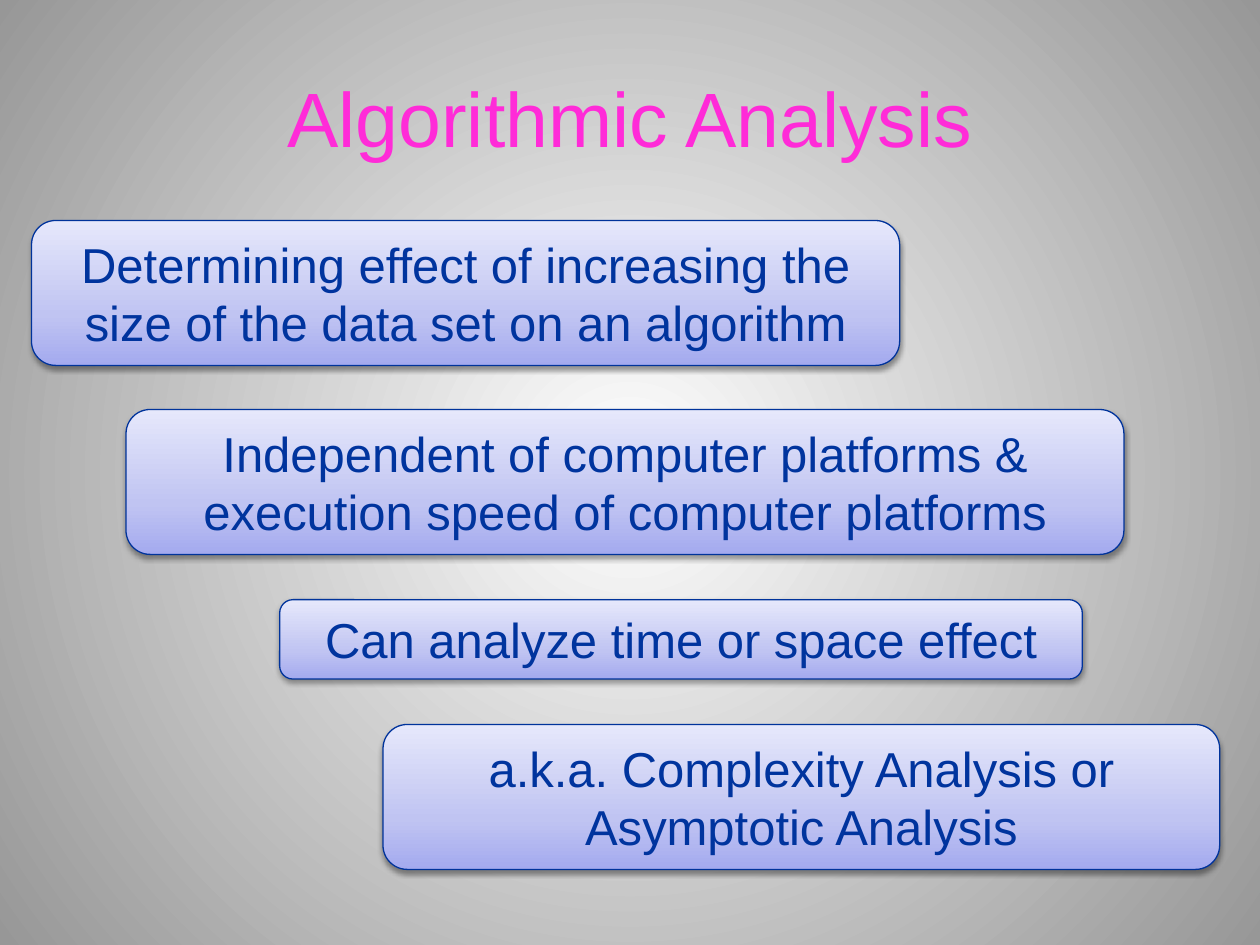
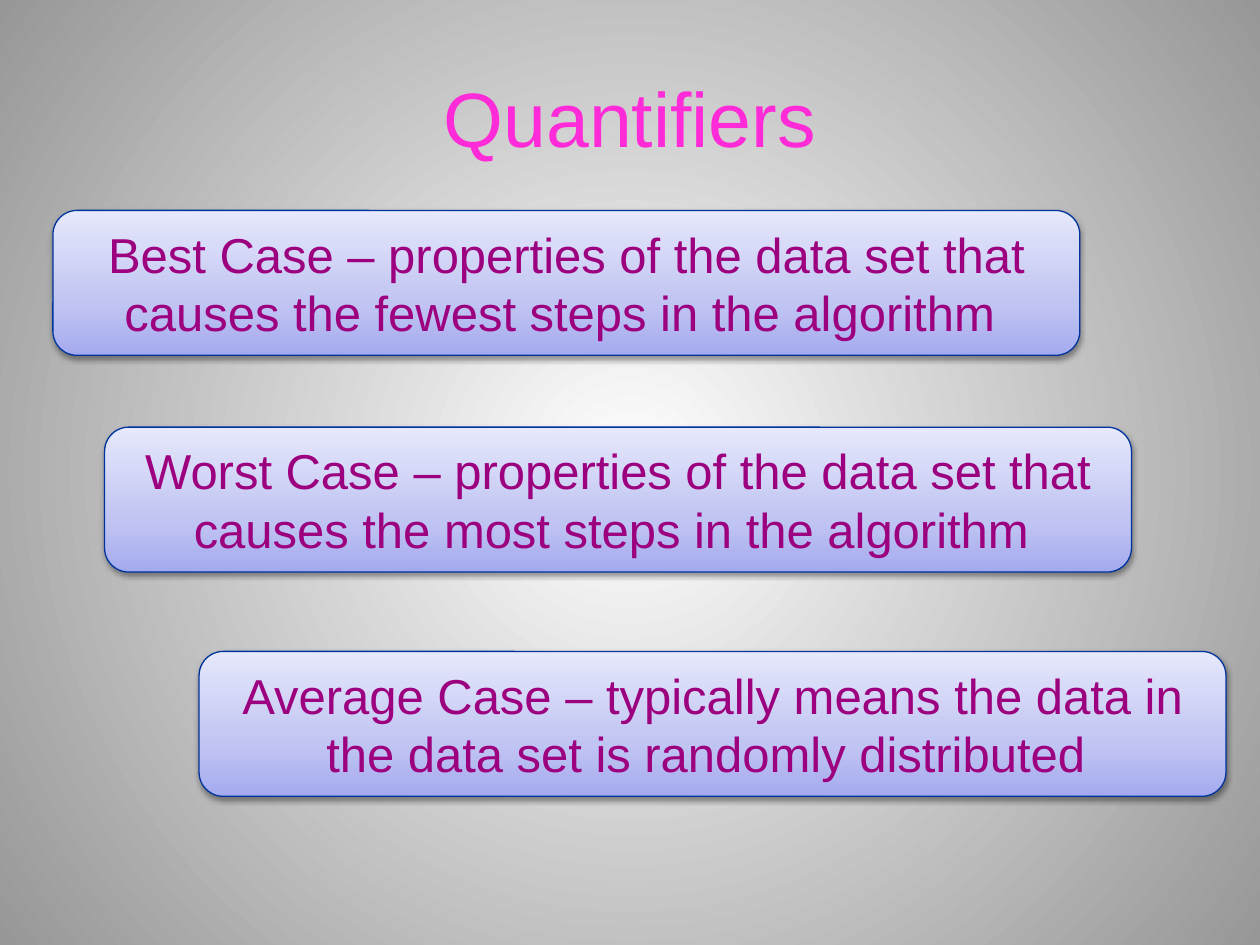
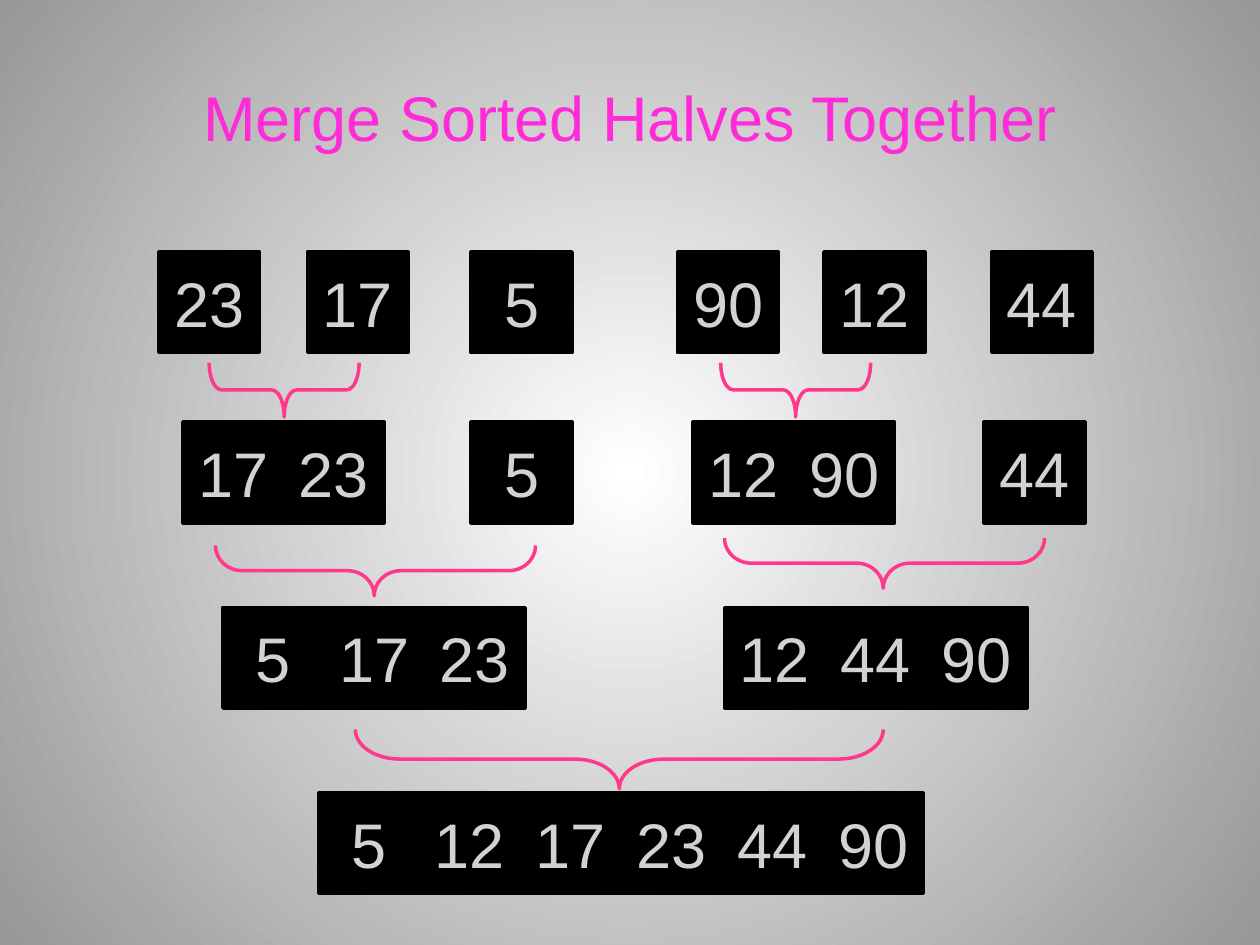
from dataclasses import dataclass
from typing import Any

from lxml.etree import SubElement
from pptx import Presentation
from pptx.dml.color import RGBColor
from pptx.enum.shapes import MSO_SHAPE as Preset
from pptx.enum.text import MSO_ANCHOR as Anchor, MSO_AUTO_SIZE as AutoSize, PP_ALIGN as Align
from pptx.oxml.ns import qn
from pptx.util import Inches, Pt

# Grid: 100 columns by 75 rows over the slide
SLIDE_WIDTH, SLIDE_HEIGHT = Inches(10), Inches(7.5)
COLUMN, ROW = SLIDE_WIDTH / 100, SLIDE_HEIGHT / 75
CELL_SIZE = 8

# Colours and font
PINK = RGBColor(0xFF, 0x2B, 0xD8)
BRACE_PINK = RGBColor(0xFF, 0x38, 0x8C)
NAVY = RGBColor(0x00, 0x34, 0x9E)
OUTLINE_NAVY = RGBColor(0x00, 0x33, 0x9B)
PURPLE = RGBColor(0x9C, 0x00, 0x7F)
BLACK = RGBColor(0x00, 0x00, 0x00)
LIGHT_GREY = RGBColor(0xD2, 0xD2, 0xD2)
BACKDROP_STOPS = ((0, RGBColor(0xFF, 0xFF, 0xFF)), (100, RGBColor(0x97, 0x97, 0x97)))
PANEL_STOPS = (
    (0, RGBColor(0xA4, 0xAA, 0xEF)),
    (35, RGBColor(0xC0, 0xC4, 0xF2)),
    (100, RGBColor(0xE6, 0xE8, 0xFB)),
)
FONT = "Arial"


@dataclass(frozen=True)
class Box:
    left: float
    top: float
    width: float
    height: float

    def lengths(self) -> tuple[int, int, int, int]:
        return (round(self.left * COLUMN), round(self.top * ROW),
                round(self.width * COLUMN), round(self.height * ROW))


@dataclass(frozen=True)
class Panel:
    text: str
    box: Box


@dataclass(frozen=True)
class NumberList:
    left: float
    values: tuple[int, ...]


@dataclass(frozen=True)
class Brace:
    box: Box
    curve: float
    tip: float = 0.5


TITLE_BOX = Box(5, 3, 90, 12.5)

ANALYSIS_PANELS = (
    Panel("Determining effect of increasing the size of the data set on an algorithm",
          Box(2.5, 17.5, 68.9, 11.5)),
    Panel("Independent of computer platforms & execution speed of computer platforms",
          Box(10, 32.5, 79.2, 11.5)),
    Panel("Can analyze time or space effect", Box(22.2, 47.6, 63.7, 6.3)),
    Panel("a.k.a. Complexity Analysis or Asymptotic Analysis", Box(30.4, 57.5, 66.4, 11.5)),
)
QUANTIFIER_PANELS = (
    Panel("Best Case – properties of the data set that causes the fewest steps in the algorithm ",
          Box(4.2, 16.7, 81.5, 11.5)),
    Panel("Worst Case – properties of the data set that causes the most steps in the algorithm ",
          Box(8.3, 33.9, 81.5, 11.5)),
    Panel("Average Case – typically means the data in the data set is randomly distributed ",
          Box(15.8, 51.7, 81.5, 11.5)),
)

# Merge levels: top row of each level and its sorted lists
MERGE_LEVELS = {
    20: (NumberList(12.6, (23,)), NumberList(24.4, (17,)), NumberList(37.4, (5,)),
         NumberList(53.8, (90,)), NumberList(65.4, (12,)), NumberList(78.7, (44,))),
    33.5: (NumberList(14.5, (17, 23)), NumberList(37.4, (5,)),
           NumberList(55, (12, 90)), NumberList(78.1, (44,))),
    48.2: (NumberList(17.7, (5, 17, 23)), NumberList(57.5, (12, 44, 90))),
    62.9: (NumberList(25.3, (5, 12, 17, 23, 44, 90)),),
}
MERGE_BRACES = (
    Brace(Box(16.6, 28.8, 11.9, 4.3), 0.23),
    Brace(Box(57.2, 28.8, 11.9, 4.3), 0.23),
    Brace(Box(17.1, 43.3, 25.4, 4), 0.53, 0.504),
    Brace(Box(57.5, 42.7, 25.4, 4), 0.53, 0.504),
    Brace(Box(28.2, 57.9, 41.9, 4.7), 0.75),
)


def set_format(target: Any, values: dict[str, Any]) -> None:
    for name, value in values.items():
        setattr(target, name, value)


def place(shape: Any, box: Box) -> None:
    set_format(shape, dict(zip(("left", "top", "width", "height"), box.lengths())))


def write_text(shape: Any, text: str, size: float, colour: RGBColor) -> Any:
    """Write one centred paragraph and return it."""
    shape.text_frame.vertical_anchor = Anchor.MIDDLE
    paragraph = shape.text_frame.paragraphs[0]
    paragraph.alignment = Align.CENTER
    run = paragraph.add_run()
    run.text = text
    set_format(run.font, {"name": FONT, "size": Pt(size)})
    run.font.color.rgb = colour
    return paragraph


def set_line(shape: Any, colour: RGBColor, width: float) -> None:
    shape.line.color.rgb = colour
    shape.line.width = Pt(width)


def fill_gradient(fill: Any, element: Any, stops: tuple, angle: int | None = None) -> None:
    """Fill with a linear gradient, or a circular one when there is no angle."""
    fill.gradient()
    gradient = next(element.iter(qn("a:gradFill")))
    for child in list(gradient):
        gradient.remove(child)
    stop_list = SubElement(gradient, qn("a:gsLst"))
    for position, colour in stops:
        stop = SubElement(stop_list, qn("a:gs"), pos=str(position * 1000))
        SubElement(stop, qn("a:srgbClr"), val=str(colour))
    if angle is None:
        circle = SubElement(gradient, qn("a:path"), path="circle")
        SubElement(circle, qn("a:fillToRect"), dict.fromkeys("ltrb", "50000"))
    else:
        SubElement(gradient, qn("a:lin"), ang=str(angle * 60000), scaled="0")


def add_drop_shadow(shape: Any) -> None:
    shape.shadow.inherit = False
    effects = shape.element.spPr.find(qn("a:effectLst"))
    shadow = SubElement(effects, qn("a:outerShdw"), blurRad="40000", dist="20000",
                        dir="5400000", rotWithShape="0")
    colour = SubElement(shadow, qn("a:srgbClr"), val=str(BLACK))
    SubElement(colour, qn("a:alpha"), val="38000")


def add_titled_slide(presentation: Any, title: str, size: float = 44) -> Any:
    slide = presentation.slides.add_slide(presentation.slide_layouts.get_by_name("Title Only"))
    place(slide.shapes.title, TITLE_BOX)
    write_text(slide.shapes.title, title, size, PINK)
    return slide


def add_panel(slide: Any, panel: Panel, colour: RGBColor) -> None:
    shape = slide.shapes.add_shape(Preset.ROUNDED_RECTANGLE, *panel.box.lengths())
    fill_gradient(shape.fill, shape.element, PANEL_STOPS, 270)
    set_line(shape, OUTLINE_NAVY, 0.75)
    add_drop_shadow(shape)
    set_format(shape.text_frame, {"word_wrap": True, "auto_size": AutoSize.SHAPE_TO_FIT_TEXT})
    write_text(shape, panel.text, 28, colour)


def add_number_list(slide: Any, numbers: NumberList, top: float) -> None:
    for index, value in enumerate(numbers.values):
        box = Box(numbers.left + index * CELL_SIZE, top, CELL_SIZE, CELL_SIZE)
        cell = slide.shapes.add_shape(Preset.RECTANGLE, *box.lengths())
        cell.shadow.inherit = False
        cell.fill.solid()
        cell.fill.fore_color.rgb = BLACK
        set_line(cell, BLACK, 2)
        cell.text_frame.word_wrap = False
        paragraph = write_text(cell, str(value), 36, LIGHT_GREY)
        # Space before, as half a line
        spacing = SubElement(paragraph._p.get_or_add_pPr(), qn("a:spcBef"))
        SubElement(spacing, qn("a:spcPct"), val="50000")


def add_brace(slide: Any, brace: Brace) -> None:
    """Draw a brace pointing down: a left brace turned about its centre."""
    box = brace.box
    shift = (box.width - box.height) / 2
    upright = Box(box.left + shift, box.top - shift, box.height, box.width)
    shape = slide.shapes.add_shape(Preset.LEFT_BRACE, *upright.lengths())
    shape.rotation = 270
    shape.element.spPr.find(qn("a:xfrm")).set("flipV", "1")
    shape.adjustments[0], shape.adjustments[1] = brace.curve, brace.tip
    shape.shadow.inherit = False
    shape.fill.background()
    set_line(shape, BRACE_PINK, 2)


def main() -> None:
    presentation = Presentation()
    set_format(presentation, {"slide_width": SLIDE_WIDTH, "slide_height": SLIDE_HEIGHT})
    master = presentation.slide_master
    fill_gradient(master.background.fill, master.element, BACKDROP_STOPS)

    # Text panels
    for title, panels, colour in (
        ("Algorithmic Analysis", ANALYSIS_PANELS, NAVY),
        ("Quantifiers", QUANTIFIER_PANELS, PURPLE),
    ):
        slide = add_titled_slide(presentation, title)
        for panel in panels:
            add_panel(slide, panel, colour)

    # Merge diagram
    slide = add_titled_slide(presentation, "Merge Sorted Halves Together", 36)
    for top, lists in MERGE_LEVELS.items():
        for numbers in lists:
            add_number_list(slide, numbers, top)
    for brace in MERGE_BRACES:
        add_brace(slide, brace)

    presentation.save("out.pptx")


if __name__ == "__main__":
    main()
